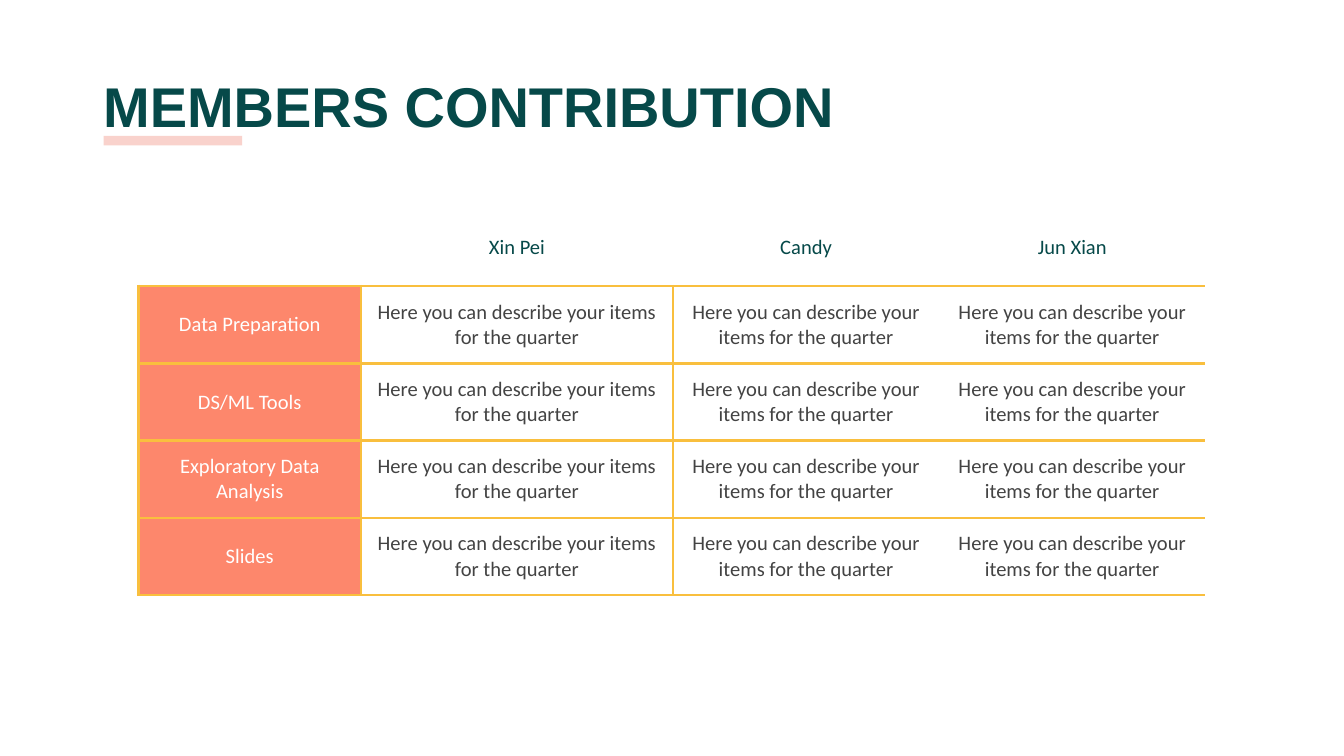
from lxml import etree
from pptx import Presentation
from pptx.dml import color
from pptx.enum import shapes, text
from pptx.oxml import ns
from pptx.util import Cm, Pt

GREEN, PINK, CORAL = "064949", "F4AA9E", "FD876C"
GOLD, GREY, WHITE = "F9BF3E", "434343", "FFFFFF"
PAD = Cm(0.25)
NO_STYLE = "{2D5ABB26-0587-4C30-8999-92F81FD0307C}"

NAMES = ["", "Xin Pei", "Candy", "Jun Xian"]
TASKS = ["Data Preparation", "DS/ML Tools", "Exploratory Data Analysis", "Slides"]
NOTE = "Here you can describe your items for the quarter"
WIDTHS = [4.2, 5.9, 5.03, 5.03]
HEAD, ROW = 1.47, 1.43


def paint(fmt, hue):
    fmt.solid()
    fmt.fore_color.rgb = color.RGBColor.from_string(hue)


def add_run(para, words, font, size, hue, bold=False):
    run = para.add_run()
    run.text = words
    run.font.name, run.font.size, run.font.bold = font, Pt(size), bold
    paint(run.font.fill, hue)


def add_title(slide, words):
    box = slide.shapes.title
    box.left, box.top, box.width, box.height = Cm(1.7), Cm(0.99), Cm(23.67), Cm(1.6)
    frame = box.text_frame
    frame.auto_size = text.MSO_AUTO_SIZE.NONE
    frame.vertical_anchor = text.MSO_ANCHOR.TOP
    frame.margin_left = frame.margin_right = frame.margin_bottom = PAD
    frame.margin_top = Cm(0.36)
    para = frame.paragraphs[0]
    para.alignment = text.PP_ALIGN.LEFT
    add_run(para, words, "Arial", 30, GREEN, True)


def add_bar(slide):
    bar = slide.shapes.add_shape(
        shapes.MSO_SHAPE.RECTANGLE, Cm(1.96), Cm(2.57), Cm(2.62), Cm(0.18))
    bar.shadow.inherit = False
    bar.line.fill.background()
    paint(bar.fill, PINK)
    tone = bar.fill._xPr.find(".//" + ns.qn("a:srgbClr"))
    etree.SubElement(tone, ns.qn("a:alpha"), val="52000")


def add_edges(cell, sides):
    """Draw gold borders; sides is a subset of "LRTB" in that order."""
    props = cell._tc.get_or_add_tcPr()
    for side in sides:
        line = etree.SubElement(props, ns.qn("a:ln" + side), w=str(Pt(1.5)))
        fill = etree.SubElement(line, ns.qn("a:solidFill"))
        etree.SubElement(fill, ns.qn("a:srgbClr"), val=GOLD)


def fill_cell(cell, words, hue, sides, back=None, anchor=text.MSO_ANCHOR.MIDDLE):
    add_edges(cell, sides)
    if back:
        paint(cell.fill, back)
    else:
        cell.fill.background()
    cell.margin_left = cell.margin_right = PAD
    cell.margin_top = cell.margin_bottom = PAD
    cell.vertical_anchor = anchor
    if words:
        para = cell.text_frame.paragraphs[0]
        para.alignment = text.PP_ALIGN.CENTER
        add_run(para, words, "Calibri", 11, hue)


def add_grid(slide):
    count = len(TASKS)
    frame = slide.shapes.add_table(
        count + 1, len(NAMES), Cm(2.62), Cm(3.94),
        Cm(sum(WIDTHS)), Cm(HEAD + count * ROW))
    grid = frame.table
    grid.first_row = grid.horz_banding = False
    grid._tbl.tblPr.find(ns.qn("a:tableStyleId")).text = NO_STYLE
    for col, width in zip(grid.columns, WIDTHS):
        col.width = Cm(width)
    for i, row in enumerate(grid.rows):
        row.height = Cm(ROW if i else HEAD)
    for j, name in enumerate(NAMES):
        fill_cell(grid.cell(0, j), name, GREEN, "B")
    for i, task in enumerate(TASKS, 1):
        fill_cell(grid.cell(i, 0), task, WHITE, "LRTB", CORAL)
        for j in range(1, len(NAMES)):
            fill_cell(grid.cell(i, j), NOTE, GREY, "LTB" if j == 1 else "TB",
                      anchor=text.MSO_ANCHOR.TOP)


def main():
    deck = Presentation()
    deck.slide_width, deck.slide_height = Cm(25.4), Cm(14.29)
    slide = deck.slides.add_slide(deck.slide_layouts[5])
    paint(slide.background.fill, WHITE)
    add_title(slide, "MEMBERS CONTRIBUTION")
    add_bar(slide)
    add_grid(slide)
    deck.save("out.pptx")


if __name__ == "__main__":
    main()
